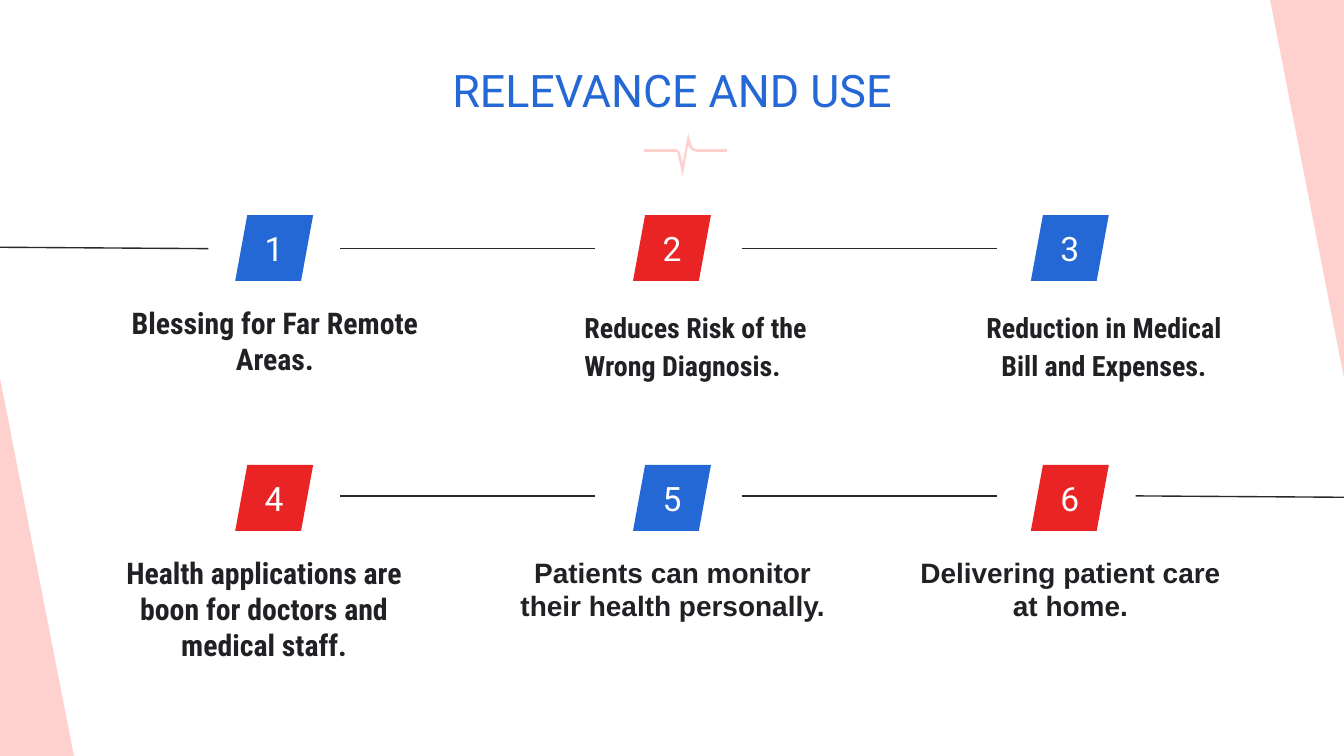
from dataclasses import dataclass

from lxml.etree import SubElement
from pptx import Presentation
from pptx.dml.color import RGBColor as Rgb
from pptx.enum.shapes import MSO_CONNECTOR as Conn
from pptx.enum.text import MSO_ANCHOR as Anchor, MSO_AUTO_SIZE as Auto, PP_ALIGN as Align
from pptx.oxml.ns import qn
from pptx.shapes.autoshape import Shape
from pptx.slide import Slide
from pptx.text.text import TextFrame
from pptx.util import Inches, Pt

Point = tuple[float, float]


@dataclass(frozen=True)
class Theme:
    blue: str = "2468D6"
    red: str = "EA2424"
    pink: str = "FED1CF"
    ink: str = "202124"
    rule: str = "2C272A"
    white: str = "FFFFFF"
    sans: str = "Roboto"
    slim: str = "Roboto Condensed"
    plain: str = "Arial"
    head: int = 24
    digit: int = 18
    large: int = 16
    small: int = 15
    line: float = 0.75


@dataclass(frozen=True)
class Style:
    font: str
    size: int
    color: str
    bold: bool = False
    align: Align = Align.CENTER
    indent: float = 0
    space: float = 1.0


@dataclass(frozen=True)
class Item:
    text: str
    style: Style
    fill: str
    shift: float = 0
    height: float = 0.68


T = Theme()
HEAD = Style(T.sans, T.head, T.blue)
DIGIT = Style(T.sans, T.digit, T.white)
LARGE = Style(T.slim, T.large, T.ink, True)
SMALL = Style(T.plain, T.small, T.ink, True)
LEFT = Style(T.slim, T.small, T.ink, True, Align.LEFT, 0.5, 1.15)
INSET = Style(T.slim, T.small, T.ink, True, Align.CENTER, 0.5, 1.15)

WIDE = 10
HIGH = WIDE * 9 / 16
COLS = 3
COL_STEP, ROW_STEP = 2.96, 1.86
BADGE_X, BADGE_Y = 1.75, 1.6
TEXT_X, TEXT_Y, TEXT_W = 0.79, 2.17, 2.51

ITEMS = [
    Item("Blessing for Far Remote Areas.", LARGE, T.blue),
    Item("Reduces Risk of the Wrong Diagnosis.", LEFT, T.red),
    Item("Reduction in Medical Bill and Expenses.", INSET, T.blue),
    Item("Health applications are boon for doctors and medical staff.",
         LARGE, T.red, -0.08, 1.01),
    Item("Patients can monitor their health personally.", SMALL, T.blue),
    Item("Delivering patient care at home.", SMALL, T.red),
]

CORNERS: list[list[Point]] = [
    [(0, HIGH / 2), (0.55, HIGH), (0, HIGH)],
    [(WIDE - 0.55, 0), (WIDE, 0), (WIDE, HIGH / 2)],
]
PULSE: list[Point] = [
    (5.12, 0.99), (5.08, 1.21), (5.06, 1.14), (5.05, 1.12), (5.03, 1.11),
    (4.79, 1.11), (4.79, 1.13), (5.04, 1.13), (5.04, 1.14), (5.08, 1.31),
    (5.12, 1.08), (5.13, 1.1), (5.15, 1.12), (5.18, 1.13), (5.41, 1.13),
    (5.41, 1.11), (5.18, 1.11), (5.16, 1.1), (5.15, 1.09), (5.13, 1.03),
]


def add_poly(slide: Slide, points: list[Point], fill: str) -> Shape:
    first, *rest = [(Inches(x), Inches(y)) for x, y in points]
    pen = slide.shapes.build_freeform(*first)
    pen.add_line_segments(rest, close=True)
    shape = pen.convert_to_shape()
    shape.shadow.inherit = False
    shape.fill.solid()
    shape.fill.fore_color.rgb = Rgb.from_string(fill)
    shape.line.fill.background()
    return shape


def add_line(slide: Slide, start: Point, end: Point) -> None:
    x1, y1, x2, y2 = map(Inches, (*start, *end))
    line = slide.shapes.add_connector(Conn.STRAIGHT, x1, y1, x2, y2)
    line.line.color.rgb = Rgb.from_string(T.rule)
    line.line.width = Pt(T.line)
    SubElement(line.element.spPr, qn("a:effectLst"))


def put_text(frame: TextFrame, text: str, style: Style, anchor: Anchor) -> None:
    frame.word_wrap = True
    frame.auto_size = Auto.NONE
    frame.vertical_anchor = anchor
    frame.margin_left = frame.margin_right = Inches(0.1)
    frame.margin_top = frame.margin_bottom = Inches(0.1)
    para = frame.paragraphs[0]
    para.alignment = style.align
    para.line_spacing = style.space
    if style.indent:
        props = para._p.get_or_add_pPr()
        props.set("marL", str(Inches(style.indent)))
        props.set("indent", "0")
    run = para.add_run()
    run.text = text
    run.font.name = style.font
    run.font.size = Pt(style.size)
    run.font.bold = style.bold
    run.font.color.rgb = Rgb.from_string(style.color)


def add_title(slide: Slide, text: str) -> None:
    title = slide.shapes.title
    title.left, title.top = Inches(0), Inches(0.37)
    title.width, title.height = Inches(WIDE), Inches(0.46)
    put_text(title.text_frame, text, HEAD, Anchor.TOP)


def add_item(slide: Slide, index: int, item: Item) -> None:
    """Draw a numbered badge and its caption in the grid."""
    row, col = divmod(index, COLS)
    dx, dy = col * COL_STEP, row * ROW_STEP
    x, y = BADGE_X + dx, BADGE_Y + dy
    edge = [(x + 0.09, y), (x, y + 0.49), (x + 0.49, y + 0.49), (x + 0.58, y)]
    badge = add_poly(slide, edge, item.fill)
    put_text(badge.text_frame, str(index + 1), DIGIT, Anchor.MIDDLE)
    box = slide.shapes.add_textbox(
        Inches(TEXT_X + dx + item.shift), Inches(TEXT_Y + dy),
        Inches(TEXT_W), Inches(item.height))
    put_text(box.text_frame, item.text, item.style, Anchor.TOP)


def main() -> None:
    deck = Presentation()
    deck.slide_width, deck.slide_height = Inches(WIDE), Inches(HIGH)
    slide = deck.slides.add_slide(deck.slide_layouts[5])
    for shape in [*CORNERS, PULSE]:
        add_poly(slide, shape, T.pink)
    add_title(slide, "RELEVANCE AND USE")
    for y in (1.85, 3.69):
        for x in (2.53, 5.52):
            add_line(slide, (x, y), (x + 1.9, y))
    add_line(slide, (0, 1.84), (1.55, 1.85))
    add_line(slide, (8.45, 3.69), (WIDE, 3.7))
    for index, item in enumerate(ITEMS):
        add_item(slide, index, item)
    deck.save("out.pptx")


if __name__ == "__main__":
    main()
